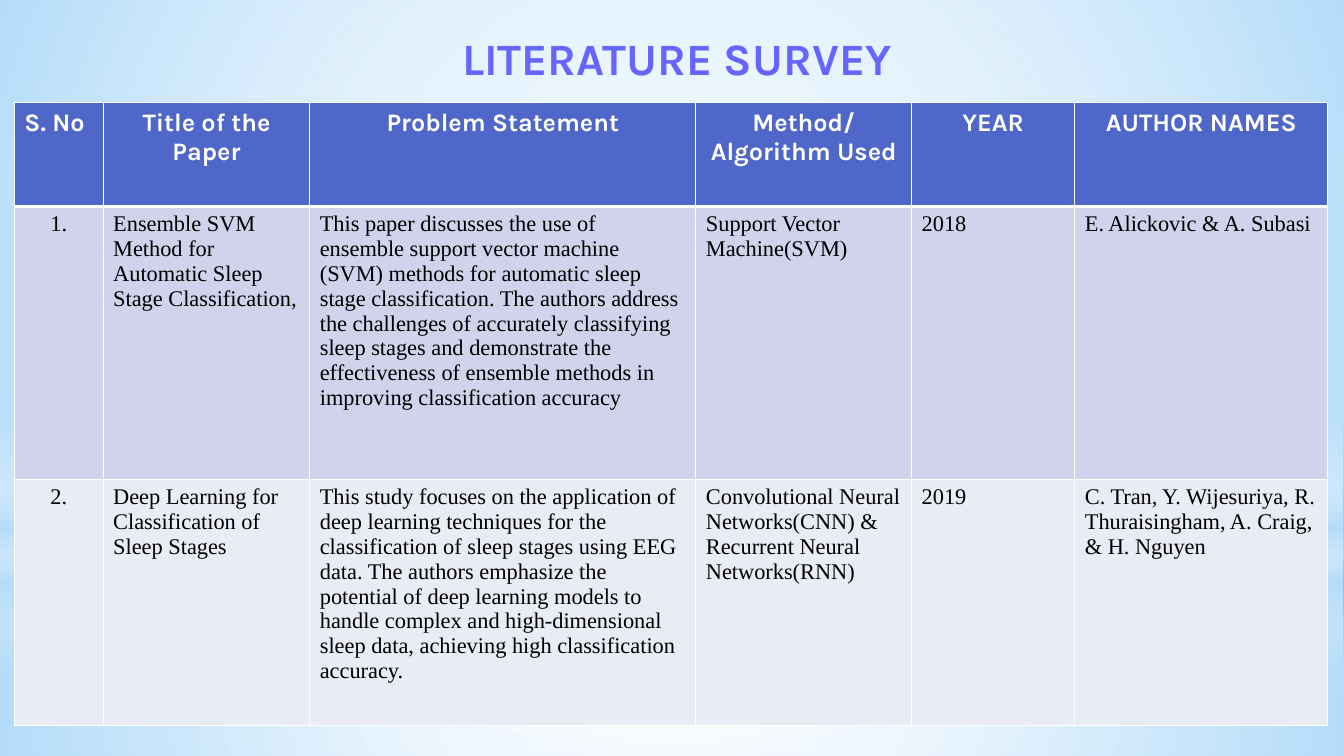
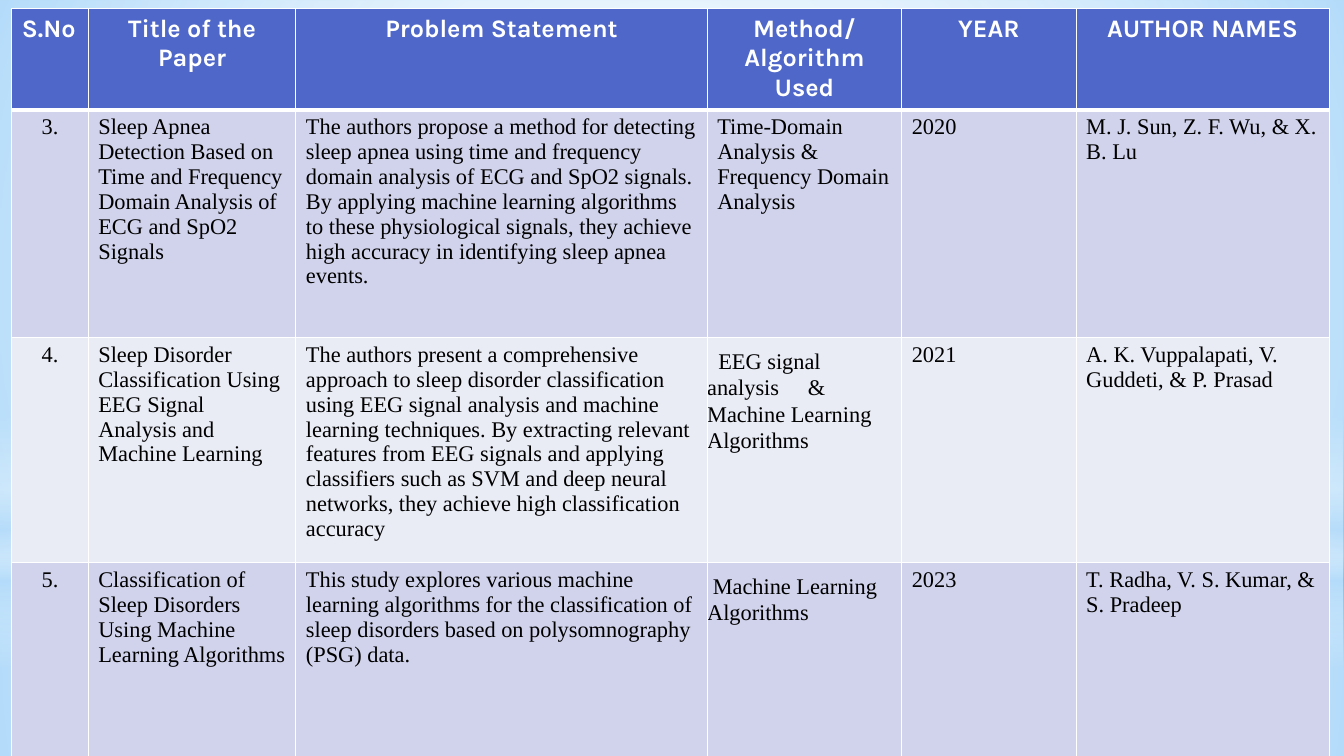
from dataclasses import dataclass

from lxml import etree
from pptx import Presentation
from pptx import util as u
from pptx.dml.color import RGBColor
from pptx.enum import shapes, text
from pptx.oxml import ns

COLORS = {
    "sky": "B4DCFA",
    "white": "FFFFFF",
    "title": "6666FF",
    "header": "4E67C8",
    "odd_row": "D0D3EB",
    "even_row": "E9EBF5",
    "body": "000000",
}
HEADING_FONT, BODY_FONT = "Karla", "Times New Roman"
SLIDE_W, SLIDE_H = 960, 540
HEADINGS = ("Title of the Paper", "Problem Statement",
            "Method/ Algorithm Used", "YEAR", "AUTHOR NAMES")


@dataclass(frozen=True)
class Glow:
    """Soft gradient shape; stops are (position %, colour, opacity %)."""
    top: float
    height: float
    stops: tuple[tuple[int, str, int], ...]
    radial: bool = True
    outline: shapes.MSO_SHAPE = shapes.MSO_SHAPE.RECTANGLE


@dataclass(frozen=True)
class Paper:
    title: str
    problem: str
    methods: tuple[str, ...]
    year: str
    authors: str
    method_indent: float = 0  # above zero: method text set flush with the cell edge


@dataclass(frozen=True)
class Survey:
    number_heading: str
    first_number: int
    left: float
    top: float
    columns: tuple[float, ...]
    rows: tuple[float, ...]
    papers: tuple[Paper, ...]
    title: str = ""


GLOWS = (
    Glow(402, 138, ((0, "white", 91), (37, "white", 76), (100, "sky", 79))),
    Glow(0, 402, ((0, "white", 89), (48, "white", 62), (100, "sky", 79))),
    Glow(297, 180, ((0, "white", 0), (29, "white", 30), (45, "sky", 40),
                    (55, "white", 26), (65, "sky", 60), (100, "white", 0)), radial=False),
    Glow(126, 402, ((0, "white", 100), (56, "white", 0)),
         outline=shapes.MSO_SHAPE.OVAL),
)

SURVEYS = (
    Survey(
        "S. No", 1, 10.3, 73.5,
        (63.4, 147.6, 275.8, 154.1, 116.6, 180.7), (74, 195, 175.7),
        (
            Paper(
                "Ensemble SVM Method for Automatic Sleep Stage Classification,",
                "This paper discusses the use of ensemble support vector machine (SVM) "
                "methods for automatic sleep stage classification. The authors address the "
                "challenges of accurately classifying sleep stages and demonstrate the "
                "effectiveness of ensemble methods in improving classification accuracy",
                ("Support Vector Machine(SVM)",), "2018", "E. Alickovic & A. Subasi"),
            Paper(
                "Deep Learning for Classification of Sleep Stages",
                "This study focuses on the application of deep learning techniques for the "
                "classification of sleep stages using EEG data. The authors emphasize the "
                "potential of deep learning models to handle complex and high-dimensional "
                "sleep data, achieving high classification accuracy.",
                ("Convolutional Neural Networks(CNN) &", "Recurrent Neural Networks(RNN)"),
                "2019", "C. Tran, Y. Wijesuriya, R. Thuraisingham, A. Craig, & H. Nguyen"),
        ),
        title="LITERATURE SURVEY",
    ),
    Survey(
        "S.No", 3, 8.4, 6.3,
        (54.7, 148.3, 293.8, 139, 124.6, 180.7), (69.3, 162.7, 151.2, 143.3),
        (
            Paper(
                "Sleep Apnea Detection Based on Time and Frequency Domain Analysis of ECG "
                "and SpO2 Signals",
                "The authors propose a method for detecting sleep apnea using time and "
                "frequency domain analysis of ECG and SpO2 signals. By applying machine "
                "learning algorithms to these physiological signals, they achieve high "
                "accuracy in identifying sleep apnea events.",
                ("Time-Domain Analysis & Frequency Domain Analysis",),
                "2020", "M. J. Sun, Z. F. Wu, & X. B. Lu"),
            Paper(
                "Sleep Disorder Classification Using EEG Signal Analysis and Machine Learning",
                "The authors present a comprehensive approach to sleep disorder "
                "classification using EEG signal analysis and machine learning techniques. "
                "By extracting relevant features from EEG signals and applying classifiers "
                "such as SVM and deep neural networks, they achieve high classification "
                "accuracy",
                ("EEG signal analysis\t& Machine Learning Algorithms",),
                "2021", "A. K. Vuppalapati, V. Guddeti, & P. Prasad", method_indent=8),
            Paper(
                "Classification of Sleep Disorders Using Machine Learning Algorithms",
                "This study explores various machine learning algorithms for the "
                "classification of sleep disorders based on polysomnography (PSG) data.",
                ("Machine Learning Algorithms",),
                "2023", "T. Radha, V. S. Kumar, & S. Pradeep", method_indent=4),
        ),
    ),
)


def rgb(name: str) -> RGBColor:
    return RGBColor.from_string(COLORS[name])


def write(frame, lines: tuple[str, ...], size: float, font: str, color: str,
          bold: bool = False, centered: bool = False) -> None:
    """Fill a text frame with one paragraph a line, all in one style."""
    frame.text = "\n".join(lines)
    for paragraph in frame.paragraphs:
        paragraph.alignment = text.PP_ALIGN.CENTER if centered else text.PP_ALIGN.LEFT
        for run in paragraph.runs:
            run.font.size = u.Pt(size)
            run.font.name = font
            run.font.bold = bold
            run.font.color.rgb = rgb(color)


def add_glow(slide, glow: Glow) -> None:
    shape = slide.shapes.add_shape(glow.outline, 0, u.Pt(glow.top),
                                   u.Pt(SLIDE_W), u.Pt(glow.height))
    shape.shadow.inherit = False
    shape.line.fill.background()
    gradient = etree.Element(ns.qn("a:gradFill"), rotWithShape="1")
    stops = etree.SubElement(gradient, ns.qn("a:gsLst"))
    for position, color, opacity in glow.stops:
        stop = etree.SubElement(stops, ns.qn("a:gs"), pos=str(position * 1000))
        tint = etree.SubElement(stop, ns.qn("a:srgbClr"), val=COLORS[color])
        etree.SubElement(tint, ns.qn("a:alpha"), val=str(opacity * 1000))
    if glow.radial:
        circle = etree.SubElement(gradient, ns.qn("a:path"), path="circle")
        etree.SubElement(circle, ns.qn("a:fillToRect"),
                         dict.fromkeys("ltrb", "50000"))
    else:
        etree.SubElement(gradient, ns.qn("a:lin"), ang="5400000", scaled="0")
    shape.element.spPr.find(ns.qn("a:prstGeom")).addnext(gradient)


def add_title(slide, title: str) -> None:
    box = slide.shapes.add_textbox(u.Pt(118), u.Pt(16.5), u.Pt(731.5), u.Pt(49))
    box.text_frame.word_wrap = True
    box.text_frame.vertical_anchor = text.MSO_ANCHOR.MIDDLE
    write(box.text_frame, (title,), 32, HEADING_FONT, "title", bold=True, centered=True)


def style_cell(cell, fill: str, is_header: bool) -> None:
    cell.fill.solid()
    cell.fill.fore_color.rgb = rgb(fill)
    widths = {"L": 1, "R": 1, "T": 1, "B": 3} if is_header else {"L": 1, "R": 1, "B": 1}
    properties = cell._tc.get_or_add_tcPr()
    for index, (side, width) in enumerate(widths.items()):
        border = etree.Element(ns.qn(f"a:ln{side}"), w=str(u.Pt(width)))
        solid = etree.SubElement(border, ns.qn("a:solidFill"))
        etree.SubElement(solid, ns.qn("a:srgbClr"), val=COLORS["white"])
        properties.insert(index, border)


def set_flush(cell, indent: float) -> None:
    """Drop the side margins, indent the first line and add a tab stop."""
    cell.margin_left = cell.margin_bottom = 0
    cell.margin_top, cell.margin_right = u.Pt(8), u.Pt(12)
    paragraph = cell.text_frame.paragraphs[0]
    properties = paragraph._p.get_or_add_pPr()
    properties.set("marL", "0")
    properties.set("indent", str(u.Pt(indent)))
    tabs = etree.SubElement(properties, ns.qn("a:tabLst"))
    etree.SubElement(tabs, ns.qn("a:tab"), pos=str(u.Pt(68)), algn="l")
    paragraph.line_spacing = 1.05
    paragraph.space_after = u.Pt(10)


def add_survey(slide, survey: Survey) -> None:
    table = slide.shapes.add_table(
        len(survey.rows), len(survey.columns), u.Pt(survey.left), u.Pt(survey.top),
        u.Pt(sum(survey.columns)), u.Pt(sum(survey.rows))).table
    for column, width in zip(table.columns, survey.columns):
        column.width = u.Pt(width)
    for row, height in zip(table.rows, survey.rows):
        row.height = u.Pt(height)

    # Header row
    for index, heading in enumerate((survey.number_heading, *HEADINGS)):
        cell = table.cell(0, index)
        write(cell.text_frame, (heading,), 18, HEADING_FONT, "white",
              bold=True, centered=index > 0)
        style_cell(cell, "header", is_header=True)

    # One row per paper
    for row, paper in enumerate(survey.papers, start=1):
        number = f"{survey.first_number + row - 1}."
        entries = ((number,), (paper.title,), (paper.problem,), paper.methods,
                   (paper.year,), (paper.authors,))
        for index, lines in enumerate(entries):
            cell = table.cell(row, index)
            write(cell.text_frame, lines, 16, BODY_FONT, "body", centered=index == 0)
            style_cell(cell, "odd_row" if row % 2 else "even_row", is_header=False)
        if paper.method_indent:
            set_flush(table.cell(row, 3), paper.method_indent)


def main() -> None:
    deck = Presentation()
    deck.slide_width, deck.slide_height = u.Pt(SLIDE_W), u.Pt(SLIDE_H)
    backdrop = deck.slide_master.background.fill
    backdrop.solid()
    backdrop.fore_color.rgb = rgb("sky")
    for survey in SURVEYS:
        slide = deck.slides.add_slide(deck.slide_layouts[6])
        for glow in GLOWS:
            add_glow(slide, glow)
        if survey.title:
            add_title(slide, survey.title)
        add_survey(slide, survey)
    deck.save("out.pptx")


if __name__ == "__main__":
    main()
